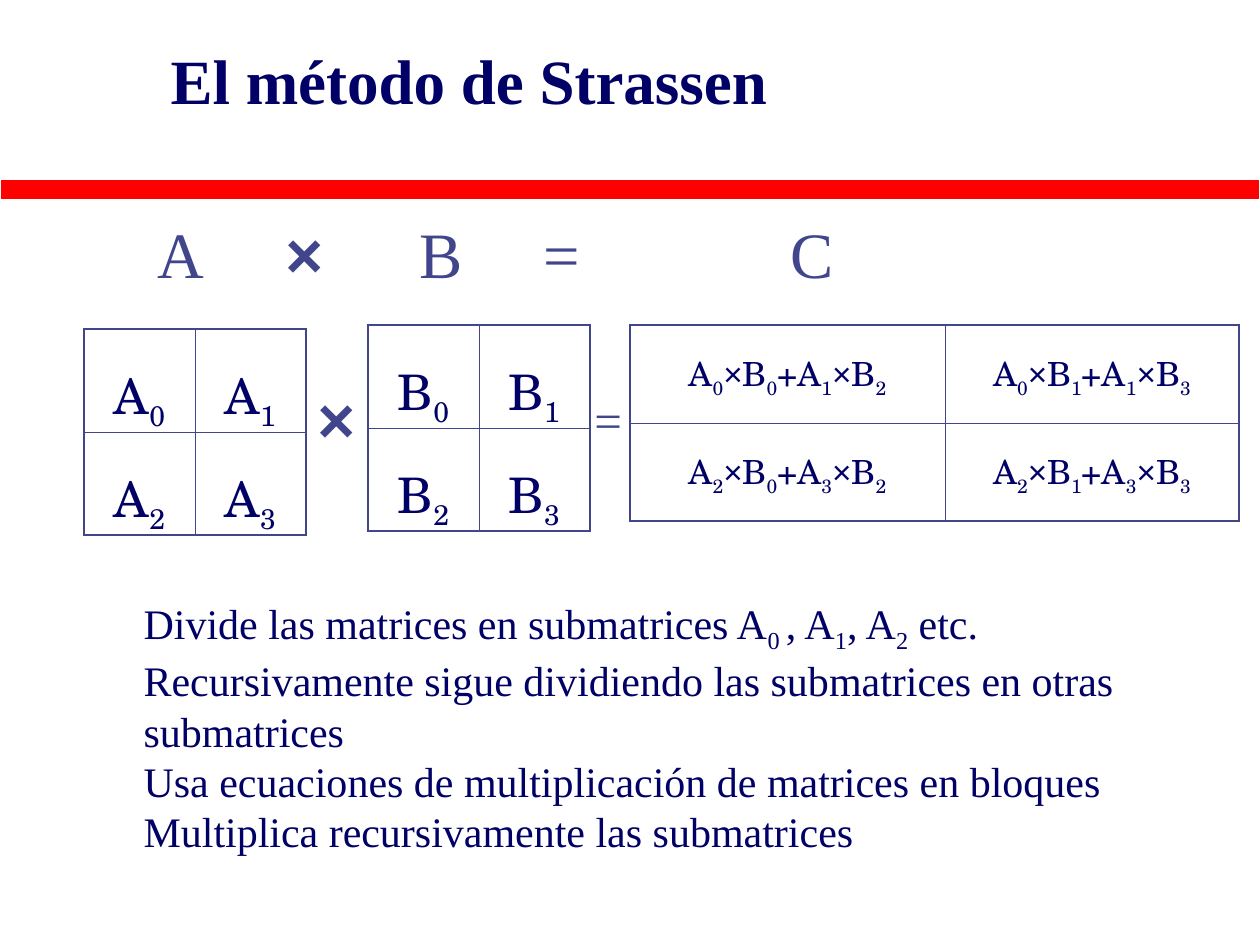
from itertools import groupby

from lxml.etree import SubElement
from pptx import Presentation
from pptx.dml.color import RGBColor
from pptx.enum.shapes import MSO_SHAPE
from pptx.enum.text import MSO_ANCHOR, MSO_AUTO_SIZE, PP_ALIGN
from pptx.oxml.ns import qn
from pptx.util import Emu, Pt

PX = 914400 // 126
NAVY, SLATE, RED, WHITE = "000066", "40458C", "FF0000", "FFFFFF"
SERIF, SANS, SCHOLA = "Times New Roman", "Arial", "TeX Gyre Schola"

TITLE = "El método de Strassen"
# Symbols of the heading and their distance from the left of its text
HEADING = [("A", 61), ("×", 189), ("B", 323), ("=", 447), ("C", 694)]
# "_" lowers the character after it
MATRICES = [
    dict(at=(84, 329), cols=(111, 111), row=103, size=28, margin=3,
         cells=[["A_0", "A_1"], ["A_2", "A_3"]]),
    dict(at=(368, 325), cols=(111, 111), row=103, size=28, margin=3,
         cells=[["B_0", "B_1"], ["B_2", "B_3"]]),
    dict(at=(630, 325), cols=(315, 294), row=98, size=19, margin=6,
         cells=[["A_0×B_0+A_1×B_2", "A_0×B_1+A_1×B_3"],
                ["A_2×B_0+A_3×B_2", "A_2×B_1+A_3×B_3"]]),
]
SIGNS = [
    dict(text="×", box=(305, 397, 60, 63), size=37, spacing=0.65),
    dict(text="=", box=(582, 399, 60, 54), size=28, spacing=0.7),
]
STEPS = [
    "Divide las matrices en submatrices A_0_ , A_1, A_2 etc.",
    "Recursivamente sigue dividiendo las submatrices en otras submatrices",
    "Usa ecuaciones de multiplicación de matrices en bloques",
    "Multiplica recursivamente las submatrices",
]


def px(n):
    return Emu(n * PX)


def rgb(color):
    return RGBColor.from_string(color)


def write(p, text, size, font=SERIF, color=NAVY, bold=False, bold_times=False,
          spacing=1.0, align=PP_ALIGN.LEFT):
    """Fill a paragraph; "_" lowers the next character, × is set in Arial."""
    p.alignment, p.line_spacing = align, spacing
    p.space_before = p.space_after = Pt(0)
    styled = [(c, i > 0 and text[i - 1] == "_", c == "×")
              for i, c in enumerate(text) if c != "_"]
    for (low, times), group in groupby(styled, key=lambda x: x[1:]):
        r = p.add_run()
        r.text = "".join(c for c, *_ in group)
        r.font.size = Pt(size)
        r.font.name = SANS if times else font
        r.font.bold = bold or (times and bold_times)
        r.font.color.rgb = rgb(color)
        if low:
            r.font._element.set("baseline", "-25000")


def place(sp, x, y, w, h):
    sp.left, sp.top, sp.width, sp.height = map(px, (x, y, w, h))


def add_text(s, text, box, **fmt):
    tf = s.shapes.add_textbox(*map(px, box)).text_frame
    tf.word_wrap = True
    write(tf.paragraphs[0], text, color=SLATE, bold_times=True, **fmt)
    return tf.paragraphs[0]


def set_tabs(p, stops):
    tabs = SubElement(p._p.get_or_add_pPr(), qn("a:tabLst"))
    for stop in stops:
        SubElement(tabs, qn("a:tab"), pos=str(px(stop)), algn="l")


def set_border(cell, side, width):
    ln = SubElement(cell._tc.get_or_add_tcPr(), qn(f"a:{side}"), w=str(Pt(width)))
    fill = SubElement(ln, qn("a:solidFill"))
    SubElement(fill, qn("a:srgbClr"), val=SLATE)


def add_matrix(s, at, cols, row, size, margin, cells):
    n = len(cells)
    frame = s.shapes.add_table(n, len(cols), *map(px, (*at, sum(cols), row * n)))
    table = frame.table
    table.first_row = table.horz_banding = False
    for col, width in zip(table.columns, cols):
        col.width = px(width)
    for i, texts in enumerate(cells):
        table.rows[i].height = px(row)
        for j, text in enumerate(texts):
            cell = table.cell(i, j)
            cell.margin_top = cell.margin_bottom = px(margin)
            write(cell.text_frame.paragraphs[0], text, size, SCHOLA,
                  spacing=1.35, align=PP_ALIGN.CENTER)
            outer = dict(lnL=j == 0, lnR=j == len(cols) - 1,
                         lnT=i == 0, lnB=i == n - 1)
            for side, is_outer in outer.items():
                set_border(cell, side, 1.08 if is_outer else 0.45)
            cell.fill.background()


def main():
    prs = Presentation()
    prs.slide_width, prs.slide_height = px(1260), px(945)
    s = prs.slides.add_slide(prs.slide_layouts[1])
    title, body = s.placeholders

    bar = s.shapes.add_shape(MSO_SHAPE.RECTANGLE, *map(px, (0, 179, 1260, 21)))
    bar.shadow.inherit = False
    bar.fill.solid()
    bar.fill.fore_color.rgb = rgb(RED)
    bar.line.color.rgb = rgb(WHITE)
    bar.line.width = Pt(1)

    place(title, 158, 0, 1071, 158)
    title.text_frame.vertical_anchor = MSO_ANCHOR.MIDDLE
    write(title.text_frame.paragraphs[0], TITLE, 36, bold=True)

    heading = "".join(f"\t{symbol}" for symbol, _ in HEADING)
    p = add_text(s, heading, (84, 223, 1113, 75), size=37, spacing=0.8)
    set_tabs(p, [stop for _, stop in HEADING])

    for matrix in MATRICES:
        add_matrix(s, **matrix)
    for sign in SIGNS:
        add_text(s, **sign)

    place(body, 84, 591, 1155, 322)
    tf = body.text_frame
    tf.auto_size = MSO_AUTO_SIZE.NONE
    for i, step in enumerate(STEPS):
        p = tf.add_paragraph() if i else tf.paragraphs[0]
        pPr = p._p.get_or_add_pPr()
        pPr.set("marL", str(px(47)))
        pPr.set("indent", "0")
        SubElement(pPr, qn("a:buNone"))
        write(p, step, 24)

    prs.save("out.pptx")


if __name__ == "__main__":
    main()
